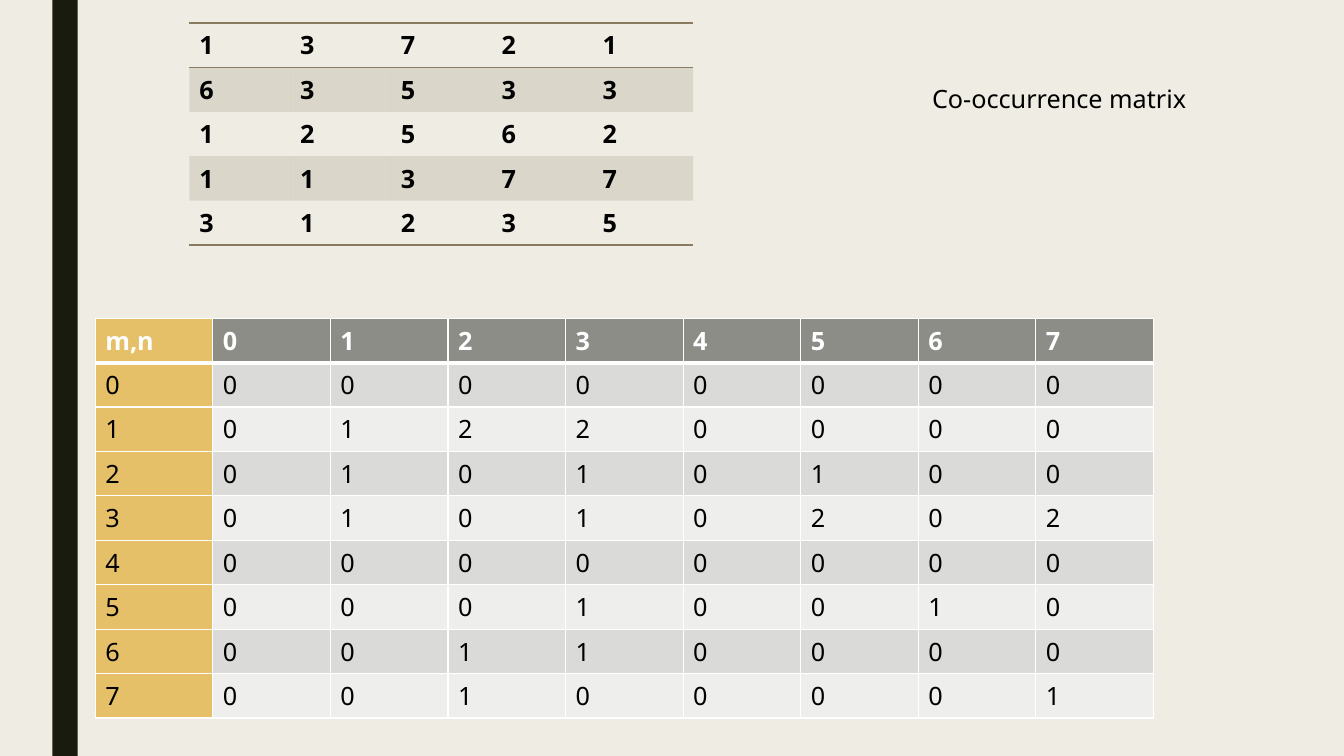
import pptx
import pptx.dml.color
import pptx.enum.shapes
import pptx.enum.text
import pptx.oxml
import pptx.oxml.ns
import pptx.util
from pptx.dml.color import RGBColor
from pptx.util import Cm

BACKGROUND = RGBColor(0xEF, 0xED, 0xE3)
STRIPE = RGBColor(0x19, 0x1B, 0x0E)
BLACK = RGBColor(0, 0, 0)
WHITE = RGBColor(0xFF, 0xFF, 0xFF)
BROWN = RGBColor(0x89, 0x7B, 0x61)
GOLD = RGBColor(0xE6, 0xC0, 0x69)
HEADER_GREY = RGBColor(0x8C, 0x8D, 0x86)
BAND_DARK = RGBColor(0xDA, 0xDB, 0xD9)
BAND_LIGHT = RGBColor(0xEE, 0xEE, 0xED)

FONT = "Noto Sans"
PLAIN_TABLE_STYLE = "{2D5ABB26-0587-4C30-8999-92F81FD0307C}"

IMAGE_ROWS = ["13721", "63533", "12562", "11377", "31235"]
COUNT_ROWS = ["00000000", "01220000", "01010100", "01010202",
              "00000000", "00010010", "00110000", "00100001"]


def write_text(frame, text, color=BLACK, size=18, bold=False):
    """Put one formatted line of text in a text frame."""
    span = frame.paragraphs[0].add_run()
    span.text = text
    span.font.name = FONT
    span.font.size = pptx.util.Pt(size)
    span.font.bold = bold
    span.font.color.rgb = color


def set_border(cell, side, color, width=1):
    """Draw one side (L, R, T or B, in that order) before the fill is set."""
    line = pptx.oxml.parse_xml(
        f'<a:ln{side} {pptx.oxml.ns.nsdecls("a")} w="{pptx.util.Pt(width)}">'
        f'<a:solidFill><a:srgbClr val="{color}"/></a:solidFill></a:ln{side}>')
    cell._tc.get_or_add_tcPr().append(line)


def set_fill(cell, color, opacity=100):
    """Fill a cell, with opacity in percent."""
    cell.fill.solid()
    cell.fill.fore_color.rgb = color
    if opacity < 100:
        tint = cell._tc.tcPr.find(".//" + pptx.oxml.ns.qn("a:solidFill") + "[last()]/")
        tint.append(pptx.oxml.parse_xml(
            f'<a:alpha {pptx.oxml.ns.nsdecls("a")} val="{opacity * 1000}"/>'))


def add_plain_table(page, box, row_count, column_count):
    """Add an unstyled table with equal rows and columns."""
    table = page.shapes.add_table(row_count, column_count, *box).table
    table.first_row = table.horz_banding = False
    table._tbl.tblPr.find(pptx.oxml.ns.qn("a:tableStyleId")).text = PLAIN_TABLE_STYLE
    for column in table.columns:
        column.width = box[2] // column_count
    for row in table.rows:
        row.height = box[3] // row_count
    return table


def add_stripe(page, box):
    """Draw the dark vertical stripe."""
    stripe = page.shapes.add_shape(pptx.enum.shapes.MSO_SHAPE.RECTANGLE, *box)
    stripe.shadow.inherit = False
    stripe.fill.solid()
    stripe.fill.fore_color.rgb = STRIPE
    stripe.line.fill.background()


def add_image_matrix(page, box):
    """Add the grey-level matrix, ruled above and below, with tinted bands."""
    last = len(IMAGE_ROWS) - 1
    table = add_plain_table(page, box, len(IMAGE_ROWS), len(IMAGE_ROWS[0]))
    for r, values in enumerate(IMAGE_ROWS):
        for c, value in enumerate(values):
            cell = table.cell(r, c)
            write_text(cell.text_frame, value, bold=True)
            if r == 0:
                set_border(cell, "T", BROWN)
            if r in (0, last):
                set_border(cell, "B", BROWN)
            if r % 2:
                set_fill(cell, BROWN, opacity=20)


def add_count_matrix(page, box):
    """Add the co-occurrence counts with their level headings."""
    levels = range(len(COUNT_ROWS))
    rows = [["m,n", *map(str, levels)]]
    rows += [[str(level), *COUNT_ROWS[level]] for level in levels]
    table = add_plain_table(page, box, len(rows), len(rows[0]))
    for r, values in enumerate(rows):
        heading = r == 0
        band = HEADER_GREY if heading else BAND_DARK if r % 2 else BAND_LIGHT
        for c, value in enumerate(values):
            cell = table.cell(r, c)
            write_text(cell.text_frame, value, bold=heading,
                       color=WHITE if heading else BLACK)
            for side in "LRTB":
                thick = (heading and side == "B") or (r == 1 and side == "T")
                set_border(cell, side, WHITE, width=3 if thick else 1)
            set_fill(cell, GOLD if c == 0 else band)


def add_caption(page, box):
    """Add the caption beside the upper matrix."""
    frame = page.shapes.add_textbox(*box).text_frame
    frame.word_wrap = True
    frame.auto_size = pptx.enum.text.MSO_AUTO_SIZE.SHAPE_TO_FIT_TEXT
    write_text(frame, "Co-occurrence matrix")


def main():
    """Build the one-slide deck."""
    deck = pptx.Presentation()
    deck.slide_width, deck.slide_height = Cm(33.87), Cm(19.05)
    page = deck.slides.add_slide(deck.slide_layouts[6])
    page.background.fill.solid()
    page.background.fill.fore_color.rgb = BACKGROUND
    add_stripe(page, (Cm(1.32), 0, Cm(0.64), deck.slide_height))
    add_count_matrix(page, (Cm(2.4), Cm(8.02), Cm(26.67), Cm(9.27)))
    add_image_matrix(page, (Cm(4.77), Cm(0.58), Cm(12.7), Cm(5.15)))
    add_caption(page, (Cm(23.24), Cm(1.98), Cm(10.24), Cm(1.03)))
    deck.save("out.pptx")


main()
